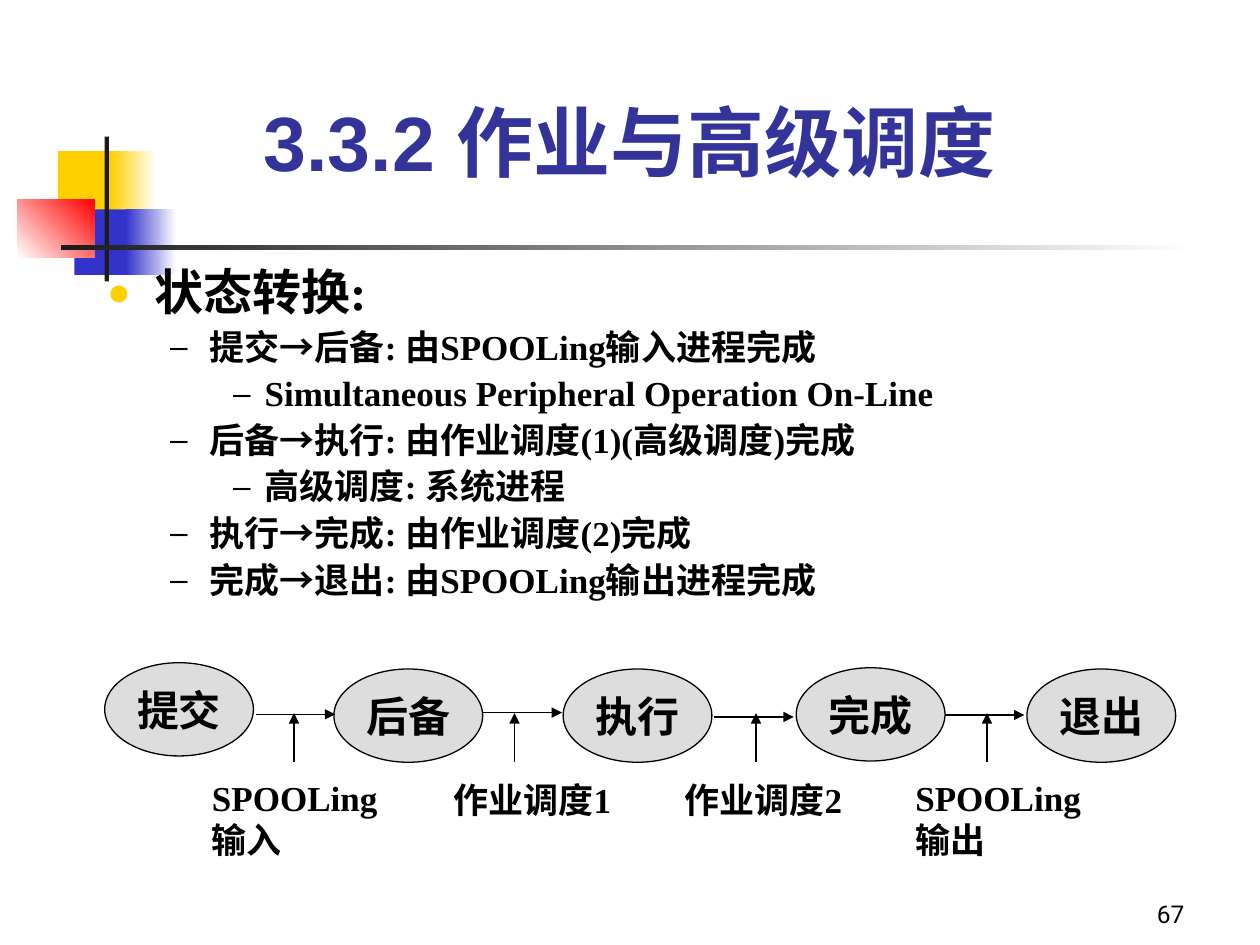
"""Build the slide on job states and high-level scheduling."""
import dataclasses
import typing

import lxml.etree
import pptx
import pptx.dml.color
import pptx.enum.shapes
import pptx.enum.text
import pptx.oxml.ns
import pptx.util

Pt = pptx.util.Pt
Kind = pptx.enum.shapes.MSO_SHAPE
Align = pptx.enum.text.PP_ALIGN
Anchor = pptx.enum.text.MSO_ANCHOR
Size = pptx.enum.text.MSO_AUTO_SIZE
COLORS = {"gold": "FFCF01", "blue": "3333CC", "red": "FF0000", "dark": "1C1C1C",
          "white": "FFFFFF", "title": "333399", "black": "000000", "gray": "DDDDDD"}
SERIF = "Times New Roman"


@dataclasses.dataclass
class Block:
    left: float
    top: float
    width: float
    height: float
    first: str
    last: str = ""
    angle: float = 0


@dataclasses.dataclass
class Level:
    margin: float
    hang: float
    before: float
    size: float
    mark: str
    color: str
    scale: int


@dataclasses.dataclass
class State:
    text: str
    left: float
    top: float


@dataclasses.dataclass
class Step:
    start: float
    level: float
    cause: float
    text: str
    left: float
    top: float
    width: float


BLOCKS = [
    Block(33.1, 86.4, 34.6, 37.4, "gold"),
    Block(63.4, 86.4, 25.9, 37.4, "gold", "white"),
    Block(42.5, 119.7, 33.1, 37.4, "blue"),
    Block(72, 119.7, 28.8, 37.4, "blue", "white"),
    Block(10, 113.8, 44, 33.5, "white", "red", 45),
    Block(59.8, 78, 2.5, 82.8, "dark"),
    Block(34.6, 140.2, 648, 2.5, "dark", "white"),
]
LEVELS = [
    Level(27, 27, 0, 28, "●", "gold", 80),
    Level(58.5, 22.5, 5, 20, "–", "black", 90),
    Level(90, 18, 5, 20, "–", "black", 90),
]
LINES = [
    (0, "状态转换:"),
    (1, "提交→后备: 由SPOOLing输入进程完成"),
    (2, "Simultaneous Peripheral Operation On-Line"),
    (1, "后备→执行: 由作业调度(1)(高级调度)完成"),
    (2, "高级调度: 系统进程"),
    (1, "执行→完成: 由作业调度(2)完成"),
    (1, "完成→退出: 由SPOOLing输出进程完成"),
]
STATES = [
    State("提交", 59.8, 378.7),
    State("后备", 190.8, 382.3),
    State("执行", 321.8, 382.3),
    State("完成", 455, 381.6),
    State("退出", 586.8, 382.3),
]
STEPS = [
    Step(146.2, 408.2, 168, "SPOOLing输入", 114, 440, 120),
    Step(275.8, 407.2, 294, "作业调度1", 252, 441.4, 108),
    Step(408.2, 409.7, 432, "作业调度2", 384, 441.4, 108),
    Step(540, 408.6, 564, "SPOOLing输出", 516, 440, 114),
]


def shade(name: str) -> pptx.dml.color.RGBColor:
    """Return the named colour."""
    return pptx.dml.color.RGBColor.from_string(COLORS[name])


def place(shape: typing.Any, left: float, top: float, width: float, height: float) -> None:
    """Move and size a shape."""
    shape.left, shape.top = Pt(left), Pt(top)
    shape.width, shape.height = Pt(width), Pt(height)


def write(para: typing.Any, text: str, size: float, font: str = SERIF,
          color: str = "black", bold: bool = True) -> None:
    """Add one run to a paragraph."""
    run = para.add_run()
    run.text = text
    run.font.size, run.font.name, run.font.bold = Pt(size), font, bold
    run.font.color.rgb = shade(color)


def child(node: typing.Any, tag: str, **attrs: str) -> typing.Any:
    """Append a drawing element to a node."""
    return lxml.etree.SubElement(node, pptx.oxml.ns.qn(tag), attrs)


def draw_block(slide: typing.Any, block: Block) -> None:
    """Draw one plain or fading block."""
    shape = slide.shapes.add_shape(Kind.RECTANGLE, Pt(block.left), Pt(block.top),
                                   Pt(block.width), Pt(block.height))
    shape.shadow.inherit = False
    shape.line.fill.background()
    if not block.last:
        shape.fill.solid()
        shape.fill.fore_color.rgb = shade(block.first)
        return
    shape.fill.gradient()
    shape.fill.gradient_angle = block.angle
    for stop, name in zip(shape.fill.gradient_stops, (block.first, block.last)):
        stop.color.rgb = shade(name)


def add_line(frame: typing.Any, index: int, rank: int, text: str) -> None:
    """Add one bulleted line to the list."""
    level = LEVELS[rank]
    para = frame.add_paragraph() if index else frame.paragraphs[0]
    para.level, para.line_spacing, para.space_before = rank, 0.9, Pt(level.before)
    props = para._p.get_or_add_pPr()
    props.set("marL", str(Pt(level.margin)))
    props.set("indent", str(-Pt(level.hang)))
    child(child(props, "a:buClr"), "a:srgbClr", val=COLORS[level.color])
    child(props, "a:buSzPct", val=str(level.scale * 1000))
    child(props, "a:buChar", char=level.mark)
    for part in text.partition("→"):
        if part:
            write(para, part, level.size, "Arial" if part == "→" else SERIF)


def draw_state(slide: typing.Any, state: State) -> None:
    """Draw one state as an oval."""
    oval = slide.shapes.add_shape(Kind.OVAL, Pt(state.left), Pt(state.top), Pt(85), Pt(53.3))
    oval.shadow.inherit = False
    oval.fill.solid()
    oval.fill.fore_color.rgb = shade("gray")
    oval.line.color.rgb, oval.line.width = shade("black"), Pt(0.75)
    frame = oval.text_frame
    frame.word_wrap, frame.vertical_anchor = False, Anchor.MIDDLE
    frame.paragraphs[0].alignment = Align.CENTER
    write(frame.paragraphs[0], state.text, 24)


def draw_arrow(slide: typing.Any, left: float, top: float, right: float, end: float) -> None:
    """Draw an arrow that points at its second end."""
    arrow = slide.shapes.add_connector(pptx.enum.shapes.MSO_CONNECTOR.STRAIGHT,
                                       Pt(left), Pt(top), Pt(right), Pt(end))
    arrow.line.color.rgb, arrow.line.width = shade("black"), Pt(0.75)
    child(arrow.line._get_or_add_ln(), "a:tailEnd", type="triangle")
    child(arrow._element.spPr, "a:effectLst")


def add_label(slide: typing.Any, left: float, top: float, width: float, height: float) -> typing.Any:
    """Add a wrapping text box and return its frame."""
    frame = slide.shapes.add_textbox(Pt(left), Pt(top), Pt(width), Pt(height)).text_frame
    frame.word_wrap = True
    return frame


def main() -> None:
    """Build and save the slide."""
    deck = pptx.Presentation()
    deck.slide_width, deck.slide_height = Pt(720), Pt(540)
    slide = deck.slides.add_slide(deck.slide_layouts[1])
    title, body = slide.shapes.title, slide.placeholders[1]
    for block in BLOCKS:
        draw_block(slide, block)
    for holder in (title, body):
        slide.shapes._spTree.append(holder._element)
        holder.text_frame.auto_size = Size.NONE
    place(title, 54, 41, 612, 79.2)
    title.text_frame.vertical_anchor = Anchor.MIDDLE
    title.text_frame.paragraphs[0].alignment = Align.CENTER
    write(title.text_frame.paragraphs[0], "3.3.2 作业与高级调度", 44, "Arial", "title")
    place(body, 54, 149.8, 612, 192.2)
    for index, (rank, text) in enumerate(LINES):
        add_line(body.text_frame, index, rank, text)
    for state in STATES:
        draw_state(slide, state)
    for step in STEPS:
        draw_arrow(slide, step.start, step.level, step.start + 45.4, step.level)
        draw_arrow(slide, step.cause, 435.6, step.cause, 407.5)
        frame = add_label(slide, step.left, step.top, step.width, 55.4)
        write(frame.paragraphs[0], step.text, 20)
    frame = add_label(slide, 534, 498, 150, 36)
    frame.vertical_anchor = Anchor.BOTTOM
    frame.paragraphs[0].alignment = Align.RIGHT
    write(frame.paragraphs[0], "67", 14, "Roboto", bold=False)
    deck.save("out.pptx")


if __name__ == "__main__":
    main()
